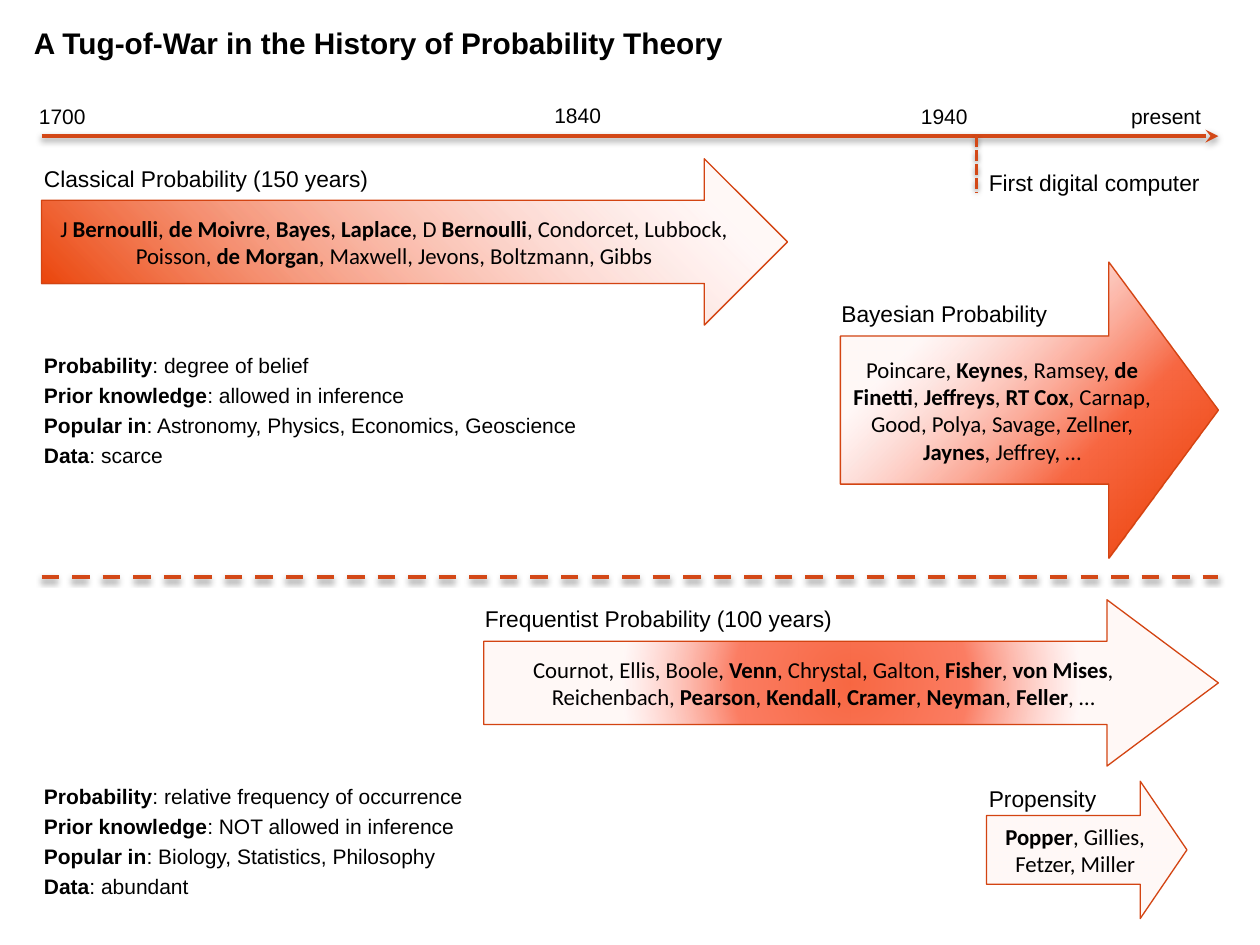
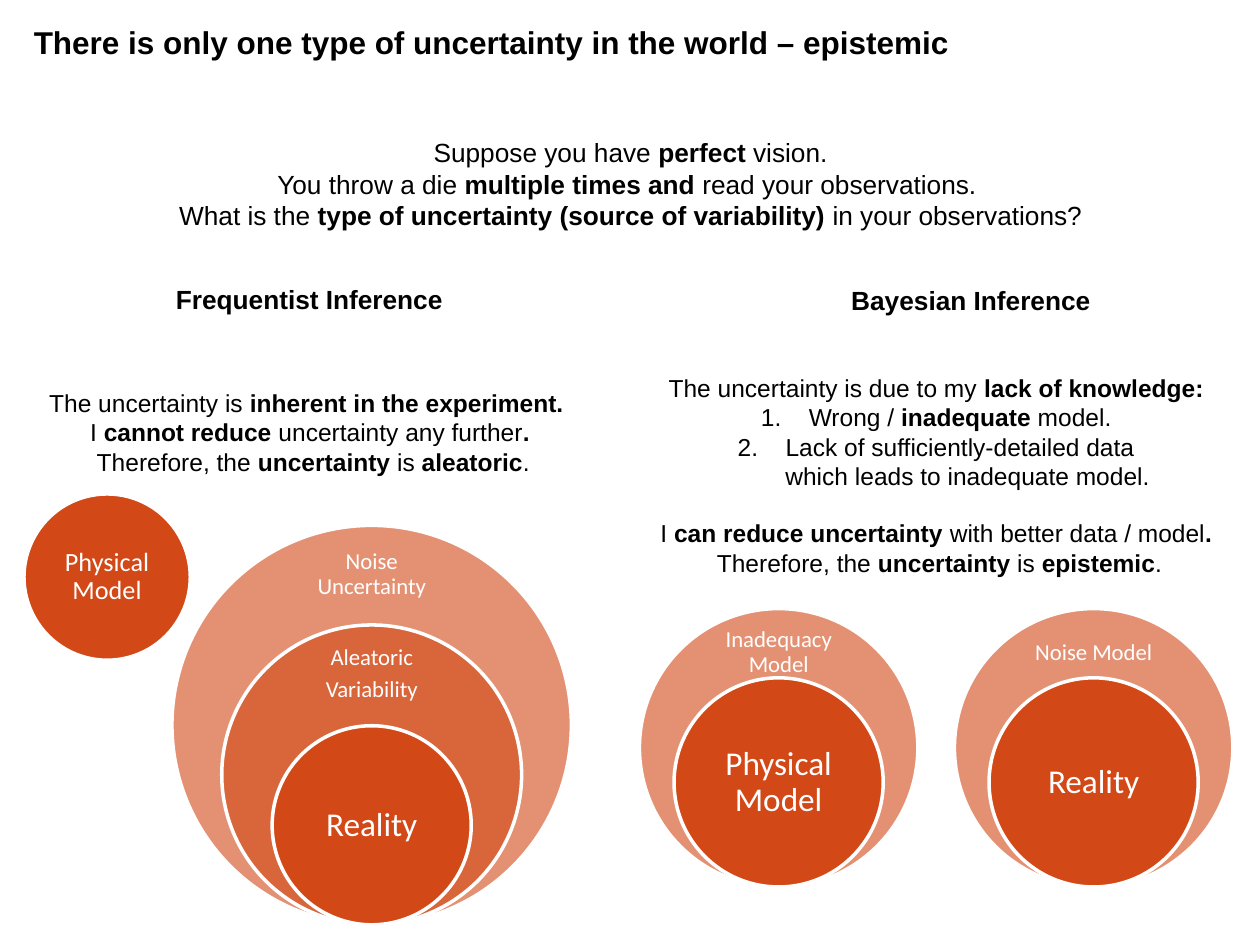
from dataclasses import dataclass
from typing import NamedTuple

import lxml.etree
import pptx
import pptx.dml.color
import pptx.enum.dml
import pptx.enum.shapes
import pptx.enum.text
import pptx.oxml
import pptx.oxml.ns
import pptx.util

Inches = pptx.util.Inches
RGBColor = pptx.dml.color.RGBColor
Align = pptx.enum.text.PP_ALIGN
Anchor = pptx.enum.text.MSO_ANCHOR
Preset = pptx.enum.shapes.MSO_SHAPE
Dash = pptx.enum.dml.MSO_LINE

BLACK = RGBColor(0x00, 0x00, 0x00)
WHITE = RGBColor(0xFF, 0xFF, 0xFF)
RUST = RGBColor(0xD3, 0x48, 0x17)
OUTLINE = RGBColor(0xD3, 0x44, 0x12)
FLAME = RGBColor(0xEA, 0x3D, 0x00)
CORAL = RGBColor(0xF7, 0x67, 0x42)
SALMON = RGBColor(0xFB, 0x7D, 0x63)
BLUSH = RGBColor(0xFF, 0xB0, 0xA8)

DRAWING = pptx.oxml.ns.nsdecls("a")
MARGIN, RIGHT_EDGE = 0.33, 9.67
TIMELINE_Y = 1.08


class Box(NamedTuple):
    left: float
    top: float
    width: float
    height: float

    def lengths(self) -> list[int]:
        return [Inches(value) for value in self]


class Stop(NamedTuple):
    position: int
    color: RGBColor


@dataclass(frozen=True)
class Style:
    size: float
    font: str = "Arial"
    color: RGBColor = BLACK
    align: Align = Align.CENTER
    anchor: Anchor = Anchor.MIDDLE
    inset: float | None = None
    line_spacing: float | None = None
    space_before: float = 0
    space_after: float = 0


@dataclass(frozen=True)
class Era:
    label: str
    label_box: Box
    names: str
    arrow_box: Box
    head: float
    stops: list[Stop]
    focus: tuple[int, int, int, int]


@dataclass(frozen=True)
class CircleStack:
    center: float
    bottom: float
    diameters: list[float]
    captions: list[list[str]]
    core: str
    core_size: float = 19
    caption_width: float = 1.16
    caption_height: float = 0.38


LABEL = Style(13, align=Align.LEFT)
NAMES = Style(13, font="Calibri")
YEAR = Style(12)
FACTS = Style(12, align=Align.JUSTIFY, anchor=Anchor.TOP, space_before=2.8)
HEADING = Style(15)
ARGUMENT = Style(14)

YEARS = [("1700", 0.08, 0.76), ("1840", 4.17, 0.75), ("present", 8.84, 0.76), ("1940", 7.08, 0.76)]

ERAS = [
    Era(
        "Classical Probability (150 years)", Box(0.25, 1.23, 2.92, 0.37),
        "J **Bernoulli**, **de Moivre**, **Bayes**, **Laplace**, D **Bernoulli**, Condorcet, Lubbock, "
        "Poisson, **de Morgan**, Maxwell, Jevons, Boltzmann, Gibbs",
        Box(MARGIN, 1.26, 5.92, 1.32), 0.5,
        [Stop(2, FLAME), Stop(87, BLUSH)], (0, 100, 100, 0),
    ),
    Era(
        "Bayesian Probability", Box(6.58, 2.3, 2.17, 0.37),
        "Poincare, **Keynes**, Ramsey, **de Finetti**, **Jeffreys**, **RT Cox**, Carnap, Good, Polya, "
        "Savage, Zellner, **Jaynes**, Jeffrey, …",
        Box(6.67, 2.08, 3, 2.35), 0.37,
        [Stop(0, FLAME), Stop(35, CORAL), Stop(77, BLUSH)], (100, 100, 0, 0),
    ),
    Era(
        "Frequentist Probability (100 years)", Box(3.75, 4.72, 3, 0.37),
        "Cournot, Ellis, Boole, **Venn**, Chrystal, Galton, **Fisher**, **von Mises**, Reichenbach,"
        "** Pearson**,** Kendall**, **Cramer**, **Neyman**,** Feller**, …",
        Box(3.84, 4.76, 5.83, 1.32), 0.67,
        [Stop(0, FLAME), Stop(0, CORAL), Stop(31, SALMON), Stop(61, BLUSH)], (50, 50, 50, 50),
    ),
    Era(
        "Propensity", Box(7.75, 6.17, 1.09, 0.33),
        "**Popper**, Gillies, Fetzer, Miller",
        Box(7.83, 6.2, 1.59, 1.09), 0.34,
        [Stop(0, FLAME), Stop(0, CORAL), Stop(0, BLUSH)], (50, 50, 50, 50),
    ),
]

FACT_NAMES = ["Probability", "Prior knowledge", "Popular in", "Data"]
FACT_BOXES = [
    (Box(0.25, 2.75, 4.75, 1.33),
     ["degree of belief", "allowed in inference", "Astronomy, Physics, Economics, Geoscience", "scarce"]),
    (Box(0.25, 6.17, 4.42, 1.09),
     ["relative frequency of occurrence", "NOT allowed in inference", "Biology, Statistics, Philosophy",
      "abundant"]),
]

STACKS = [
    CircleStack(2.95, 7.34, [3.17, 2.38, 1.58], [["Noise Uncertainty"], ["Aleatoric", "Variability"]],
                "Reality", caption_width=1.11, caption_height=0.46),
    CircleStack(8.68, 7.04, [2.21, 1.66], [["Noise Model"]], "Reality"),
    CircleStack(6.18, 7.04, [2.21, 1.66], [["Inadequacy Model"]], "Physical Model"),
    CircleStack(0.85, 5.24, [1.32], [], "Physical Model", core_size=15),
]


def write(text_frame, lines: list[str], style: Style) -> None:
    text_frame.word_wrap = True
    text_frame.vertical_anchor = style.anchor
    if style.inset is not None:
        text_frame.margin_left = text_frame.margin_right = Inches(style.inset)
        text_frame.margin_top = text_frame.margin_bottom = Inches(style.inset)
    for number, line in enumerate(lines):
        paragraph = text_frame.add_paragraph() if number else text_frame.paragraphs[0]
        paragraph.alignment = style.align
        if style.line_spacing:
            paragraph.line_spacing = style.line_spacing
        if style.space_before and number:
            paragraph.space_before = pptx.util.Pt(style.space_before)
        if style.space_after:
            paragraph.space_after = pptx.util.Pt(style.space_after)
        for index, part in enumerate(line.split("**")):
            if part:
                run = paragraph.add_run()
                run.text = part
                run.font.name = style.font
                run.font.size = pptx.util.Pt(style.size)
                run.font.bold = index % 2 == 1
                run.font.color.rgb = style.color


def add_text(slide, box: Box, lines: list[str], style: Style):
    text_box = slide.shapes.add_textbox(*box.lengths())
    write(text_box.text_frame, lines, style)
    return text_box


def add_title(slide, title: str, size: float) -> None:
    add_text(slide, Box(0.17, 0.17, 9.67, 0.33), [f"**{title}**"], Style(size, align=Align.LEFT))


def add_line(slide, start: tuple[float, float], end: tuple[float, float], width: float,
             dash: Dash | None = None, arrow: bool = False) -> None:
    points = [Inches(value) for value in (*start, *end)]
    connector = slide.shapes.add_connector(pptx.enum.shapes.MSO_CONNECTOR.STRAIGHT, *points)
    connector.line.color.rgb = RUST
    connector.line.width = pptx.util.Pt(width)
    if dash:
        connector.line.dash_style = dash
    if arrow:
        lxml.etree.SubElement(connector.line._get_or_add_ln(), pptx.oxml.ns.qn("a:tailEnd"), type="stealth")
    connector._element.spPr.append(pptx.oxml.parse_xml(
        f'<a:effectLst {DRAWING}><a:outerShdw blurRad="39370" dist="20320" dir="5400000" rotWithShape="0">'
        '<a:srgbClr val="000000"><a:alpha val="38000"/></a:srgbClr></a:outerShdw></a:effectLst>'))


def fill_radial(shape, stops: list[Stop], focus: tuple[int, int, int, int]) -> None:
    stop_list = "".join(
        f'<a:gs pos="{stop.position * 1000}"><a:srgbClr val="{stop.color}">'
        f'{"<a:alpha val=" + chr(34) + "8000" + chr(34) + "/>" if stop.color == BLUSH else ""}'
        "</a:srgbClr></a:gs>"
        for stop in stops)
    sides = " ".join(f'{side}="{value * 1000}"' for side, value in zip("ltrb", focus))
    gradient = pptx.oxml.parse_xml(
        f'<a:gradFill {DRAWING} rotWithShape="1"><a:gsLst>{stop_list}</a:gsLst>'
        f'<a:path path="circle"><a:fillToRect {sides}/></a:path></a:gradFill>')
    shape._element.spPr.find(pptx.oxml.ns.qn("a:prstGeom")).addnext(gradient)


def add_era(slide, era: Era) -> None:
    arrow = slide.shapes.add_shape(Preset.RIGHT_ARROW, *era.arrow_box.lengths())
    arrow.shadow.inherit = False
    arrow.adjustments[1] = era.head
    arrow.line.color.rgb = OUTLINE
    arrow.line.width = pptx.util.Pt(0.75)
    fill_radial(arrow, era.stops, era.focus)
    write(arrow.text_frame, [era.names], NAMES)
    add_text(slide, era.label_box, [era.label], LABEL)


def add_circle(slide, box: Box, solid: bool) -> None:
    circle = slide.shapes.add_shape(Preset.OVAL, *box.lengths())
    circle.shadow.inherit = False
    circle.fill.solid()
    circle.fill.fore_color.rgb = RUST
    circle.line.color.rgb = WHITE
    circle.line.width = pptx.util.Pt(2)
    if not solid:
        color = circle._element.spPr.find(".//" + pptx.oxml.ns.qn("a:srgbClr"))
        lxml.etree.SubElement(color, pptx.oxml.ns.qn("a:alpha"), val="60000")


def circle_style(size: float, inset: float) -> Style:
    return Style(size, font="Calibri", color=WHITE, inset=inset, line_spacing=0.9, space_after=0.35 * size)


def add_stack(slide, stack: CircleStack) -> None:
    for level, diameter in enumerate(stack.diameters):
        top = stack.bottom - diameter
        is_core = level == len(stack.captions)
        add_circle(slide, Box(stack.center - diameter / 2, top, diameter, diameter), is_core)
        if is_core:
            width, height = diameter * 0.71, diameter / 2
            text_top = top + diameter / 4
            lines, style = [stack.core], circle_style(stack.core_size, stack.core_size / 125)
        else:
            width, height = stack.caption_width, stack.caption_height
            text_top = top + 0.16
            lines, style = stack.captions[level], circle_style(13, 0.1)
        add_text(slide, Box(stack.center - width / 2, text_top, width, height), lines, style)


def indent(paragraph, left: float, numbered: bool) -> None:
    properties = paragraph._p.get_or_add_pPr()
    properties.set("marL", str(Inches(left)))
    if numbered:
        properties.set("indent", str(-Inches(left)))
        lxml.etree.SubElement(properties, pptx.oxml.ns.qn("a:buAutoNum"), type="arabicPeriod")


def build_history(slide) -> None:
    add_title(slide, "A Tug-of-War in the History of Probability Theory", 17)
    add_line(slide, (MARGIN, TIMELINE_Y), (RIGHT_EDGE, TIMELINE_Y), 2.5, arrow=True)
    for year, left, top in YEARS:
        add_text(slide, Box(left, top, 0.83, 0.33), [year], YEAR)
    for era in ERAS:
        add_era(slide, era)
    add_line(slide, (MARGIN, 4.58), (RIGHT_EDGE, 4.58), 2.5, dash=Dash.DASH)
    for box, facts in FACT_BOXES:
        add_text(slide, box, [f"**{name}**: {fact}" for name, fact in zip(FACT_NAMES, facts)], FACTS)
    add_line(slide, (7.75, TIMELINE_Y), (7.75, 1.53), 2, dash=Dash.SQUARE_DOT)
    add_text(slide, Box(7.75, 1.26, 2.17, 0.37), ["First digital computer"], LABEL)


def build_uncertainty(slide) -> None:
    add_title(slide, "There is only one type of uncertainty in the world – epistemic", 18)
    add_text(slide, Box(0.17, 1, 9.67, 0.92), [
        "Suppose you have **perfect** vision.",
        "You throw a die **multiple times and** read your observations. ",
        "What is the **type of uncertainty (source of variability)** in your observations?",
    ], HEADING)
    add_text(slide, Box(0.58, 2.17, 3.75, 0.41), ["**Frequentist Inference**"], HEADING)
    add_text(slide, Box(-0.08, 2.94, 5.08, 0.98), [
        "The uncertainty is **inherent in the experiment. **",
        "I **cannot reduce** uncertainty any further**.**",
        " Therefore, the **uncertainty **is **aleatoric**.",
    ], ARGUMENT)
    add_text(slide, Box(5.83, 2.17, 3.75, 0.43), ["**Bayesian Inference**"], HEADING)
    bayesian = add_text(slide, Box(4.89, 2.96, 5.08, 1.62), [
        "The uncertainty is due to my **lack of knowledge:**",
        "Wrong / **inadequate** model.",
        "Lack of sufficiently-detailed data",
        "which leads to inadequate model.",
        "I **can reduce uncertainty** with better data / model**.**",
        " Therefore, the **uncertainty **is **epistemic**.",
    ], ARGUMENT)
    paragraphs = bayesian.text_frame.paragraphs
    for paragraph in paragraphs[1:3]:
        indent(paragraph, 0.38, numbered=True)
    indent(paragraphs[3], 0.5, numbered=False)
    paragraphs[4].space_before = pptx.util.Pt(16)
    for stack in STACKS:
        add_stack(slide, stack)


def main() -> None:
    presentation = pptx.Presentation()
    presentation.slide_width, presentation.slide_height = Inches(10), Inches(7.5)
    for build in (build_history, build_uncertainty):
        build(presentation.slides.add_slide(presentation.slide_layouts[6]))
    presentation.save("out.pptx")


if __name__ == "__main__":
    main()
